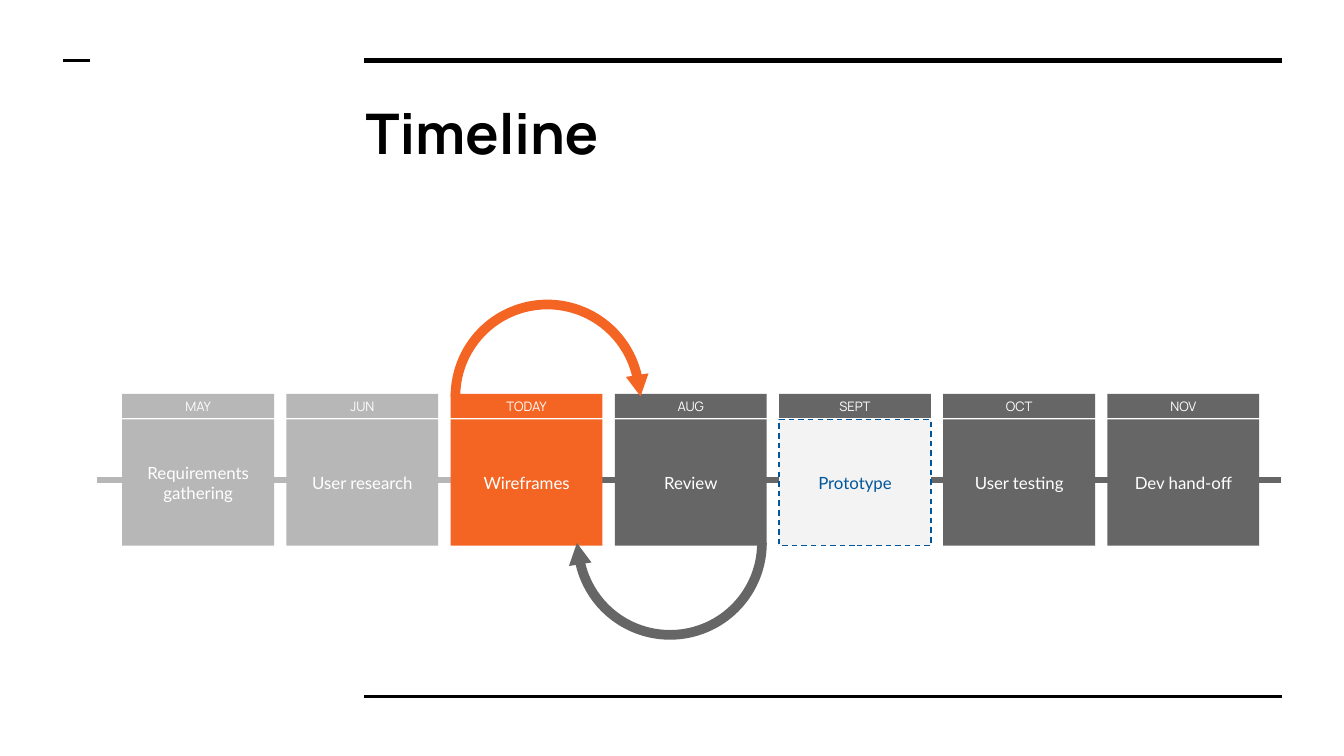
from pptx import Presentation
from pptx.dml.color import RGBColor
from pptx.enum import dml, shapes, text
from pptx.oxml import parse_xml
from pptx.oxml.ns import nsdecls
from pptx.util import Inches, Pt

BLACK = RGBColor(0x00, 0x00, 0x00)
WHITE = RGBColor(0xFF, 0xFF, 0xFF)
DARK = RGBColor(0x66, 0x66, 0x66)
GREY = RGBColor(0xB7, 0xB7, 0xB7)
PALE = RGBColor(0xF3, 0xF3, 0xF3)
ORANGE = RGBColor(0xF4, 0x65, 0x24)
BLUE = RGBColor(0x01, 0x57, 0x9B)

# Month, task, month fill, task fill, task text colour
STEPS = [
    ("MAY", "Requirements gathering", GREY, GREY, WHITE),
    ("JUN", "User research", GREY, GREY, WHITE),
    ("TODAY", "Wireframes", ORANGE, ORANGE, WHITE),
    ("AUG", "Review", DARK, DARK, WHITE),
    ("SEPT", "Prototype", DARK, PALE, BLUE),
    ("OCT", "User testing", DARK, DARK, WHITE),
    ("NOV", "Dev hand-off", DARK, DARK, WHITE),
]
CARD = 1.13


def rule(slide, left, right, y, color, width):
    line = slide.shapes.add_connector(
        shapes.MSO_CONNECTOR.STRAIGHT,
        Inches(left), Inches(y), Inches(right), Inches(y))
    line.line.color.rgb = color
    line.line.width = Pt(width)
    line._element.spPr.append(parse_xml(f"<a:effectLst {nsdecls('a')}/>"))


def solid(parent, kind, box, fill):
    shape = parent.shapes.add_shape(kind, *map(Inches, box))
    shape.shadow.inherit = False
    shape.fill.solid()
    shape.fill.fore_color.rgb = fill
    shape.line.fill.background()
    return shape


def write(shape, words, font, size, color, align, anchor):
    frame = shape.text_frame
    frame.auto_size = text.MSO_AUTO_SIZE.NONE
    frame.word_wrap = True
    frame.vertical_anchor = anchor
    frame.margin_left = frame.margin_right = Inches(0.1)
    frame.margin_top = frame.margin_bottom = Inches(0.1)
    para = frame.paragraphs[0]
    para.text = words
    para.alignment = align
    para.font.name = font
    para.font.size = Pt(size)
    para.font.color.rgb = color
    return para


def panel(parent, box, fill, words, font, size, color):
    shape = solid(parent, shapes.MSO_SHAPE.RECTANGLE, box, fill)
    write(shape, words, font, size, color,
          text.PP_ALIGN.CENTER, text.MSO_ANCHOR.MIDDLE)
    return shape


def heading(slide, box, words):
    title = slide.shapes.title
    title.left, title.top, title.width, title.height = map(Inches, box)
    para = write(title, words, "Manrope", 30, BLACK,
                 text.PP_ALIGN.LEFT, text.MSO_ANCHOR.TOP)
    para.font.bold = True


def card(slide, box, step):
    month, task, top_fill, fill, color = step
    left, top, width, height = box
    group = slide.shapes.add_group_shape()
    body = panel(group, (left, top + 0.19, width, height - 0.19),
                 fill, task, "Lato", 9, color)
    if color == BLUE:  # planned step has a dashed outline
        body.line.color.rgb = BLUE
        body.line.width = Pt(0.75)
        body.line.dash_style = dml.MSO_LINE.DASH
    panel(group, (left, top, width, 0.18), top_fill, month, "Manrope", 7, WHITE)


def loop(slide, box, color, turn):
    """Half-circle arrow; a turn of 180 swings it below its centre."""
    left, top, size = box
    group = slide.shapes.add_group_shape()
    arc = solid(group, shapes.MSO_SHAPE.BLOCK_ARC, (left, top, size, size), color)
    for i, value in enumerate((108, 211.46, 0.05)):
        arc.adjustments[i] = value
    arc.rotation = turn
    # Arrowhead, mirrored about the centre of the arc
    side = -1 if turn else 1
    x = left + size / 2 + side * 0.68
    y = top + size / 2 - side * 0.08
    head = solid(group, shapes.MSO_SHAPE.ISOSCELES_TRIANGLE,
                 (x - 0.085, y - 0.08, 0.17, 0.16), color)
    head.rotation = (turn + 171.1) % 360


def timeline(slide, box):
    left, top, width, height = box
    # Rail behind the cards
    rail = top + 0.64
    rule(slide, left + 3.54, left + 8.62, rail, DARK, 3)
    rule(slide, left - 0.19, left + 3.33, rail, GREY, 3)
    # Evenly spaced cards
    pitch = (width - CARD) / (len(STEPS) - 1)
    for i, step in enumerate(STEPS):
        card(slide, (left + i * pitch, top, CARD, height), step)
    # Feedback loop between wireframes and review
    size = 1.44
    loop(slide, (left + 2 * pitch, top - 0.7, size), ORANGE, 0)
    loop(slide, (left + 3 * pitch + CARD - size, top + 0.39, size), DARK, 180)


def main():
    deck = Presentation()
    deck.slide_width, deck.slide_height = Inches(10), Inches(5.625)
    slide = deck.slides.add_slide(deck.slide_layouts[5])
    # Frame rules
    rule(slide, 2.71, 9.54, 0.45, BLACK, 3)
    rule(slide, 2.71, 9.54, 5.18, BLACK, 1.5)
    rule(slide, 0.47, 0.67, 0.45, BLACK, 1.5)
    heading(slide, (2.62, 0.63, 6.91, 0.69), "Timeline")
    timeline(slide, (0.91, 2.93, 8.46, 1.13))
    deck.save("out.pptx")


if __name__ == "__main__":
    main()
